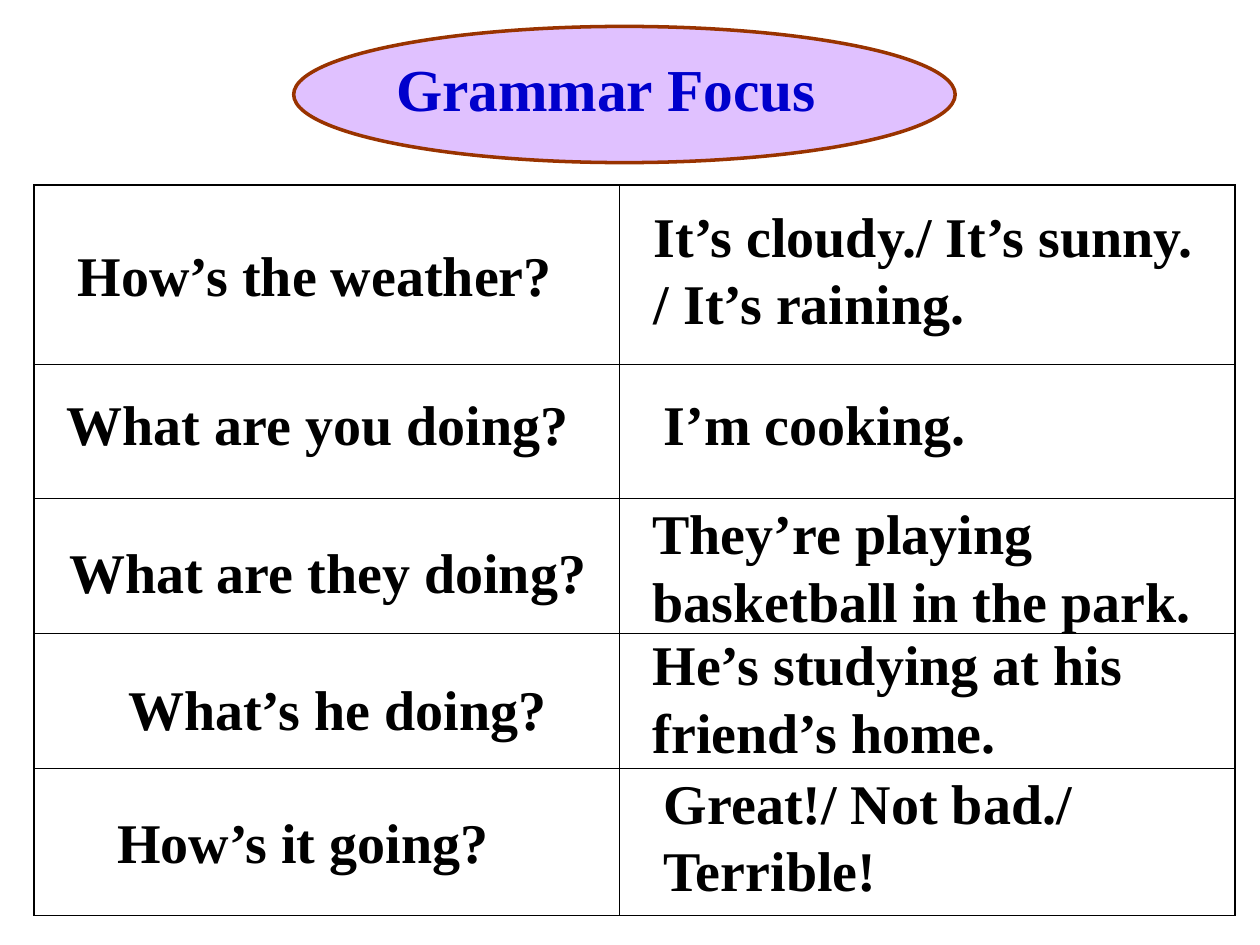
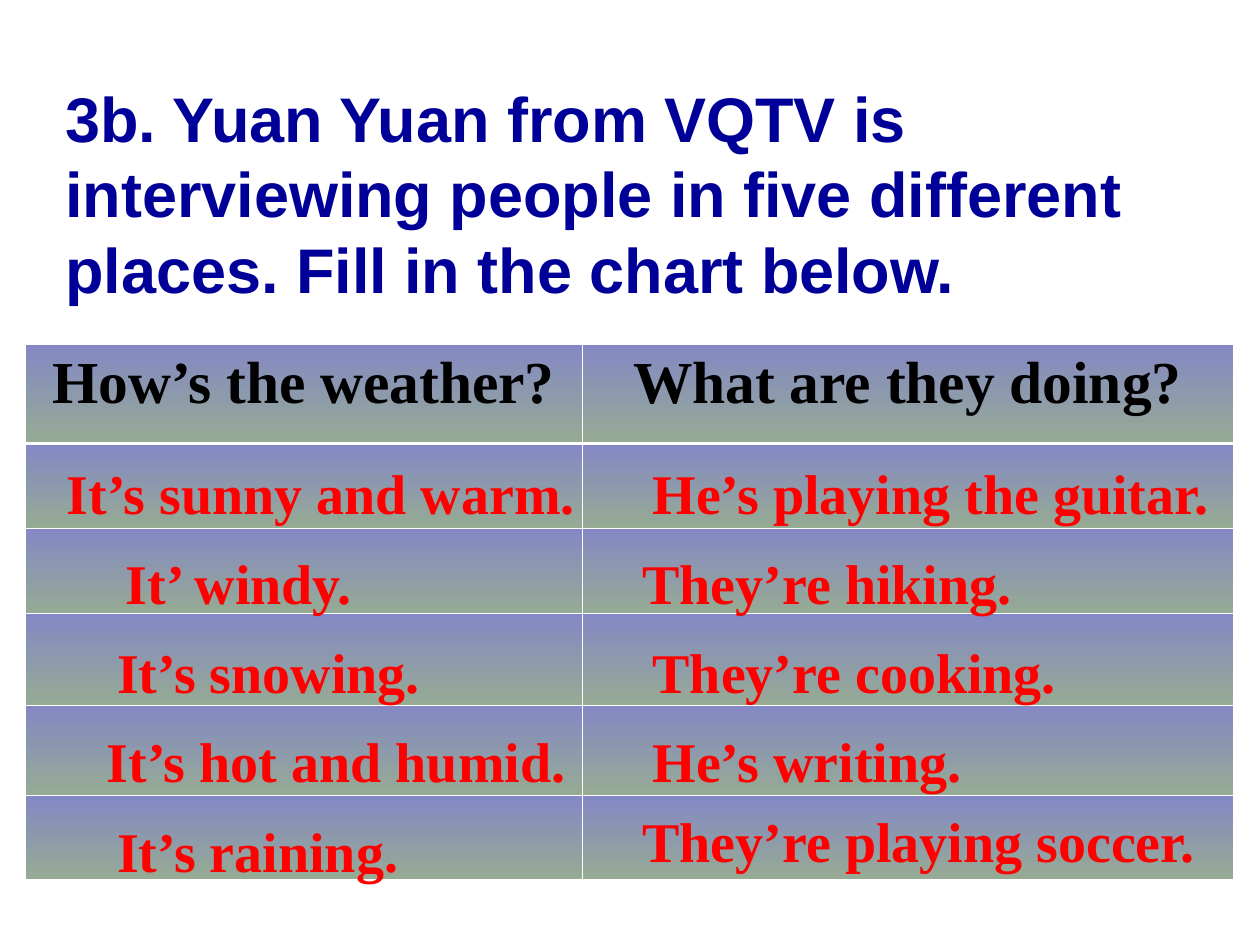
from pptx import Presentation
from pptx.dml.color import RGBColor as Rgb
from pptx.enum.shapes import MSO_SHAPE as Shape
from pptx.enum.text import PP_ALIGN as Align
from pptx.oxml.ns import qn
from pptx.util import Pt
from lxml.etree import SubElement as Sub

BLACK, WHITE, RED = Rgb(0, 0, 0), Rgb(255, 255, 255), Rgb(255, 0, 0)
BLUE, NAVY = Rgb(0, 0, 0xCC), Rgb(0, 0, 0x99)
LILAC, BROWN = Rgb(0xCC, 0x99, 0xFF), Rgb(0x99, 0x33, 0)
TOP, BASE = Rgb(0x84, 0x88, 0xC4), Rgb(0x96, 0xAB, 0x94)
SERIF, SANS = "Times New Roman", "Arial"
THIN, EDGE, RULE = 0.45, 1.08, 1.47

# left, top, width, wrap, lines, line spacing
FOCUS = [
    (37.4, 133.9, 311, True, ["How’s the weather?"], None),
    (31, 218.9, 301.7, False, ["What are you doing?"], None),
    (32.4, 303.8, 310.3, False, ["What are they doing?"], None),
    (66.2, 381.6, 254.9, False, ["What’s he doing?"], None),
    (59.8, 457.9, 260, True, ["How’s it going?"], None),
    (366.5, 111.6, 328.3, False,
     ["It’s cloudy./ It’s sunny.", "/ It’s raining."], None),
    (372.2, 218.9, 228.2, True, ["I’m cooking."], None),
    (365.8, 281.5, 328.3, True,
     ["They’re playing", "basketball in the park."], None),
    (365.8, 363.6, 316.8, True,
     ["He’s studying at his", "friend’s home."], 0.8),
    (372.2, 435.6, 306, True, ["Great!/ Not bad./ Terrible!"], None),
]

# left, width, text
SKIES = [
    (31, 306, "It’s sunny and warm."),
    (64.8, 147.6, "It’ windy."),
    (59.8, 188.6, "It’s snowing."),
    (54, 277.9, "It’s hot and humid."),
    (59.8, 176.4, "It’s raining."),
]
DEEDS = [
    (365.8, 336.2, "He’s playing the guitar."),
    (360, 226.1, "They’re hiking."),
    (365.8, 245.5, "They’re cooking."),
    (365.8, 192.2, "He’s writing."),
    (360, 333.4, "They’re playing soccer."),
]


def style(para, size, color, face=SERIF, align=None):
    font = para.font
    font.size, font.bold, font.name = Pt(size), True, face
    font.color.rgb = color
    para.alignment = align


def label(slide, left, top, width, lines, size=32, color=BLACK, face=SERIF,
          wrap=False, align=None, space=None):
    """Add a bold text box with one paragraph for each line."""
    tall = 7.2 + len(lines) * size * 1.2
    box = slide.shapes.add_textbox(Pt(left), Pt(top), Pt(width), Pt(tall))
    frame = box.text_frame
    frame.word_wrap = wrap
    frame.text = "\n".join(lines)
    for i, para in enumerate(frame.paragraphs):
        if space:
            para.line_spacing = space
            para.space_before = Pt(8 if i else 0)
        style(para, size, color, face, align)


def badge(slide, left, top, width, height):
    """Add the see-through ellipse behind a title."""
    oval = slide.shapes.add_shape(
        Shape.OVAL, Pt(left), Pt(top), Pt(width), Pt(height))
    oval.shadow.inherit = False
    oval.fill.solid()
    oval.fill.fore_color.rgb = LILAC
    tint = oval.fill._xPr.find(qn("a:solidFill"))[0]
    Sub(tint, qn("a:alpha"), val="60000")
    oval.line.color.rgb = BROWN
    oval.line.width = Pt(2)


def border(cell, color, sides):
    """Draw the cell sides; sides maps L, R, T, B to a width."""
    props = cell._tc.get_or_add_tcPr()
    for side in "LRTB":
        line = Sub(props, qn("a:ln" + side), w=str(Pt(sides[side])))
        fill = Sub(line, qn("a:solidFill"))
        Sub(fill, qn("a:srgbClr"), val=str(color))


def grid(slide, left, top, cols, rows):
    frame = slide.shapes.add_table(len(rows), len(cols), Pt(left), Pt(top),
                                   Pt(sum(cols)), Pt(sum(rows)))
    table = frame.table
    table.first_row = table.horz_banding = False
    for col, width in zip(table.columns, cols):
        col.width = Pt(width)
    for row, height in zip(table.rows, rows):
        row.height = Pt(height)
    return table


def cells(table):
    for r, row in enumerate(table.rows):
        for c, cell in enumerate(row.cells):
            yield r, c, cell


def shade(cell):
    fill = cell.fill
    fill.gradient()
    fill.gradient_angle = 270
    for stop, color, place in zip(fill.gradient_stops, (TOP, BASE), (0, 1)):
        stop.color.rgb = color
        stop.position = place


def grammar(slide):
    badge(slide, 167.8, 15.1, 378, 77.8)
    label(slide, 218.9, 25.9, 254.9, ["Grammar Focus"], 34, BLUE,
          align=Align.CENTER)
    table = grid(slide, 19.4, 105.8, [334.8, 351.4],
                 [102.2, 77, 77, 77, 84.2])
    for r, c, cell in cells(table):
        border(cell, BLACK, {"L": THIN if c else EDGE,
                             "R": EDGE if c else THIN,
                             "T": THIN if r else EDGE,
                             "B": EDGE if r == 4 else THIN})
        cell.fill.background()
    for left, top, width, wrap, lines, space in FOCUS:
        label(slide, left, top, width, lines, wrap=wrap, space=space)


def survey(slide):
    label(slide, 30.2, 41.8, 618.5,
          ["3b. Yuan Yuan from VQTV is",
           "interviewing people in five different",
           "places. Fill in the chart below."], 36, NAVY, SANS)
    table = grid(slide, 14.4, 196.6, [318.2, 372],
                 [56.9, 48.2, 49, 52.6, 51.1, 48.2])
    for r, c, cell in cells(table):
        border(cell, WHITE, {"L": THIN, "R": THIN,
                             "T": RULE if r == 1 else THIN,
                             "B": RULE if r == 0 else THIN})
        shade(cell)
    heads = "How’s the weather?", "What are they doing?"
    for cell, head in zip(table.rows[0].cells, heads):
        cell.text = head
        style(cell.text_frame.paragraphs[0], 34, BLACK, align=Align.CENTER)
    for column in SKIES, DEEDS:
        for i, (left, width, text) in enumerate(column):
            top = 258.5 + 51.1 * i
            if column is DEEDS and i == 4:
                top -= 5.8
            label(slide, left, top, width, [text], color=RED)


def main():
    deck = Presentation()
    deck.slide_width, deck.slide_height = Pt(720), Pt(540)
    for build in grammar, survey:
        build(deck.slides.add_slide(deck.slide_layouts[6]))
    deck.save("out.pptx")


if __name__ == "__main__":
    main()
